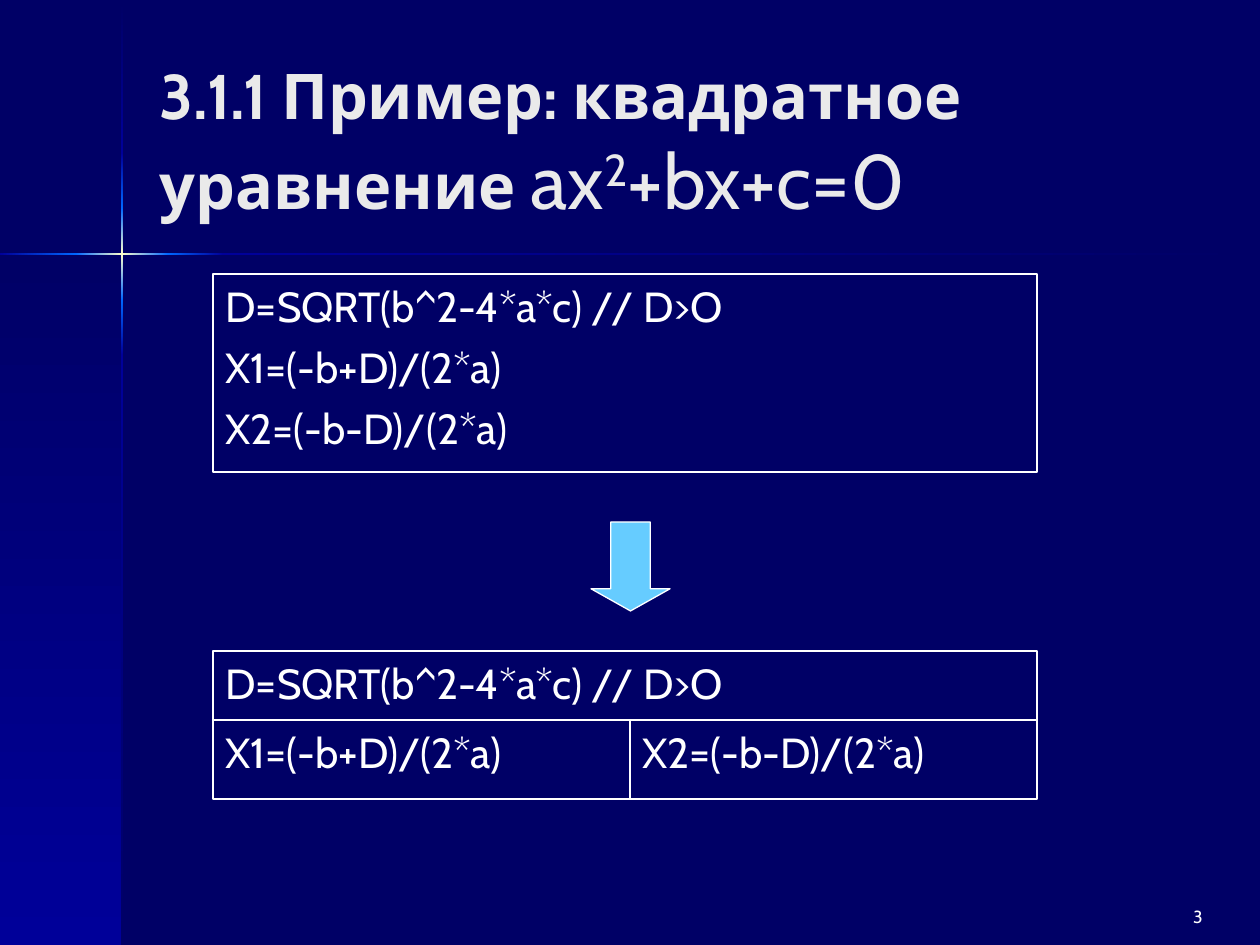
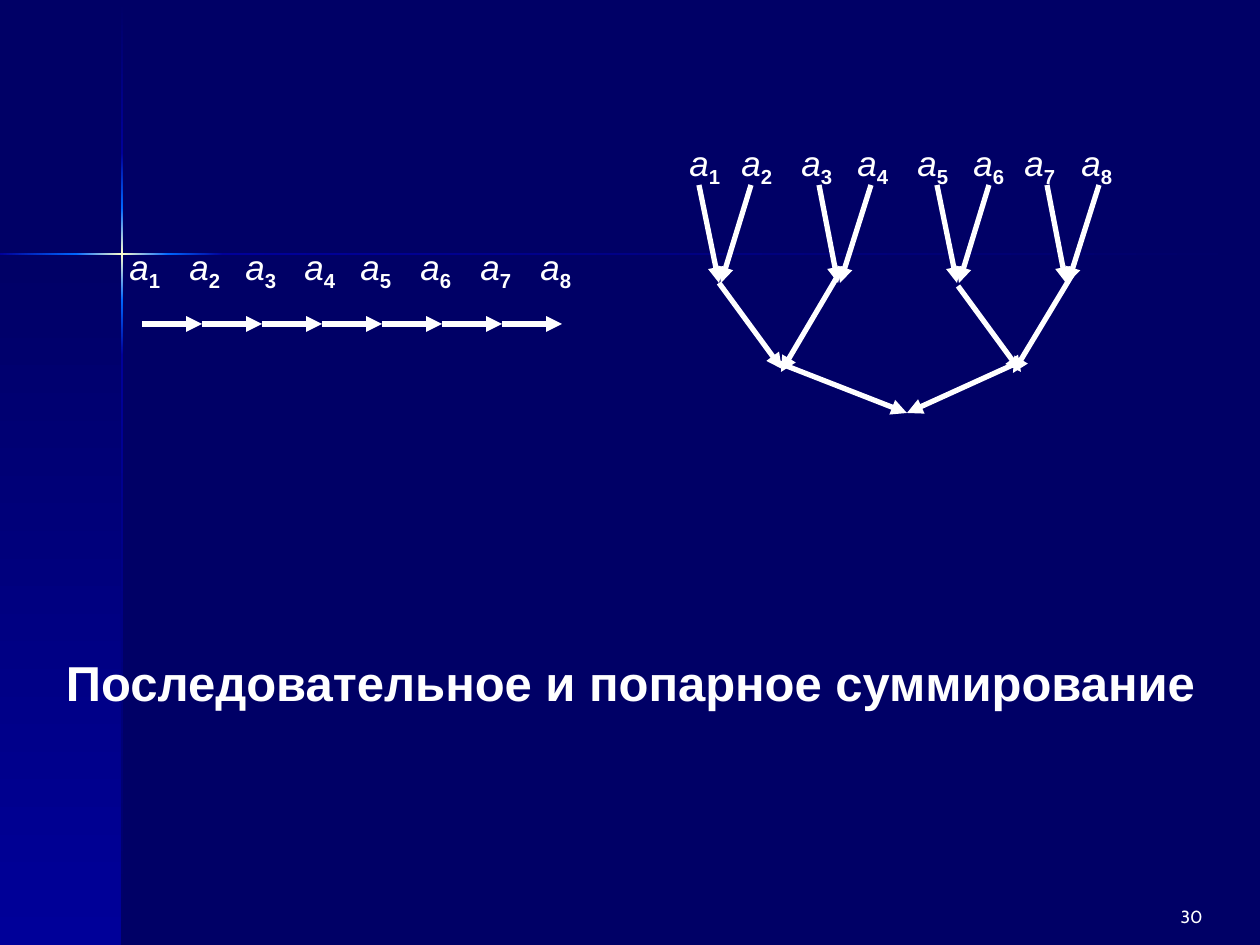
from itertools import pairwise

from pptx import Presentation
from pptx.dml.color import RGBColor
from pptx.enum.shapes import MSO_CONNECTOR as Connector, MSO_SHAPE as Preset
from pptx.enum.text import MSO_ANCHOR as Anchor, MSO_AUTO_SIZE as AutoSize, PP_ALIGN as Align
from pptx.oxml import parse_xml
from pptx.oxml.ns import nsdecls, qn
from pptx.util import Emu, Pt

COLORS = {
    "night": "000066",
    "royal": "000099",
    "azure": "0066FF",
    "cream": "FFFFCC",
    "sky": "66CCFF",
    "title": "EAEAEA",
    "white": "FFFFFF",
}
HEAD_FONT, PLAIN_FONT = "Cabin", "Arial"
TITLE_ONLY, BLANK = 5, 6
GLOW = [
    ("night", "royal"),
    ("royal", "azure"),
    ("azure", "cream", "azure"),
    ("azure", "royal"),
    ("royal", "night"),
]


def px(length):
    return Emu(round(length * 914400 / 126))


def place(box):
    return [px(length) for length in box]


def rgb(name):
    return RGBColor.from_string(COLORS[name])


def add_run(paragraph, text, size, font=HEAD_FONT, color="white", bold=False, italic=False, baseline=0):
    run = paragraph.add_run()
    run.text = text
    run.font.size = Pt(size)
    run.font.name = font
    run.font.bold = bold
    run.font.italic = italic
    run.font.color.rgb = rgb(color)
    if baseline:
        run._r.get_or_add_rPr().set("baseline", str(baseline * 1000))


def add_text(slide, box, wrap=True, align=Align.LEFT):
    frame = slide.shapes.add_textbox(*place(box)).text_frame
    frame.word_wrap = wrap
    frame.paragraphs[0].alignment = align
    return frame.paragraphs[0]


def add_band(slide, box, colors, angle):
    shape = slide.shapes.add_shape(Preset.RECTANGLE, *place(box))
    shape.shadow.inherit = False
    shape.line.fill.background()
    shape.fill.background()
    stops = "".join(
        f'<a:gs pos="{100000 * index // (len(colors) - 1)}"><a:srgbClr val="{COLORS[name]}"/></a:gs>'
        for index, name in enumerate(colors)
    )
    gradient = parse_xml(
        f'<a:gradFill {nsdecls("a")} rotWithShape="1"><a:gsLst>{stops}</a:gsLst>'
        f'<a:lin ang="{angle * 60000}" scaled="0"/></a:gradFill>'
    )
    properties = shape.element.spPr
    properties.replace(properties.find(qn("a:noFill")), gradient)
    return shape


def dress_master(master, slide):
    master.background.fill.solid()
    master.background.fill.fore_color.rgb = rgb("night")
    bands = [add_band(slide, (0, 255, 122, 690), ("night", "royal"), 90)]
    for (top, bottom), colors in zip(pairwise((1, 153, 208, 300, 355, 945)), GLOW):
        bands.append(add_band(slide, (121, top, 2, bottom - top), colors, 90))
    for (left, right), colors in zip(pairwise((0, 76, 168, 223, 1260)), GLOW[1:]):
        bands.append(add_band(slide, (left, 253, right - left, 2), colors, 0))
    tree = master.element.cSld.spTree
    for index, band in enumerate(bands):
        band.element.nvSpPr.cNvPr.set("id", str(100 + index))
        tree.insert(2 + index, band.element)


def add_page_number(slide, number):
    add_run(add_text(slide, (924, 900, 291, 30), align=Align.RIGHT), number, 10)


def set_title(slide, box):
    title = slide.shapes.title
    title.left, title.top, title.width, title.height = place(box)
    frame = title.text_frame
    frame.auto_size = AutoSize.NONE
    frame.word_wrap = True
    frame.vertical_anchor = Anchor.MIDDLE
    paragraph = frame.paragraphs[0]
    paragraph.alignment = Align.LEFT
    add_run(paragraph, "3.1.1 Пример: квадратное уравнение ", 36, color="title", bold=True)
    for text, baseline in (("ax", 0), ("2", 30), ("+bx+c=0", 0)):
        add_run(paragraph, text, 44, color="title", baseline=baseline)


def outline(shape):
    shape.shadow.inherit = False
    shape.line.color.rgb = rgb("white")
    shape.line.width = Pt(0.75)


def add_formula_box(slide, box, lines):
    shape = slide.shapes.add_shape(Preset.RECTANGLE, *place(box))
    outline(shape)
    shape.fill.background()
    frame = shape.text_frame
    frame.word_wrap = True
    frame.vertical_anchor = Anchor.TOP
    for index, line in enumerate(lines):
        paragraph = frame.add_paragraph() if index else frame.paragraphs[0]
        paragraph.alignment = Align.LEFT
        paragraph.space_before = Pt(6 if index else 0)
        add_run(paragraph, line, 24)


def add_down_arrow(slide, box):
    arrow = slide.shapes.add_shape(Preset.DOWN_ARROW, *place(box))
    outline(arrow)
    arrow.fill.solid()
    arrow.fill.fore_color.rgb = rgb("sky")
    arrow.adjustments[0], arrow.adjustments[1] = 0.5, 0.28


def add_parallel_blocks(slide, box, formulas):
    left, top, width, height = box
    head, split = 69, 417
    add_formula_box(slide, (left, top, width, head), formulas[:1])
    add_formula_box(slide, (left, top + head, split, height - head), formulas[1:2])
    add_formula_box(slide, (left + split, top + head, width - split, height - head), formulas[2:])


def add_arrow(slide, left, top, ends):
    x1, y1, x2, y2 = ends
    points = place((left + x1, top + y1, left + x2, top + y2))
    arrow = slide.shapes.add_connector(Connector.STRAIGHT, *points)
    arrow.line.color.rgb = rgb("white")
    arrow.line.width = Pt(3)
    properties = arrow.element.spPr
    properties.find(qn("a:ln")).append(parse_xml(f'<a:tailEnd {nsdecls("a")} type="triangle"/>'))
    properties.append(parse_xml(f'<a:effectLst {nsdecls("a")}/>'))


def add_terms(slide, box, offsets):
    paragraph = add_text(slide, box)
    tabs = "".join(f'<a:tab pos="{px(offset)}" algn="l"/>' for offset in offsets)
    paragraph._p.get_or_add_pPr().append(parse_xml(f'<a:tabLst {nsdecls("a")}>{tabs}</a:tabLst>'))
    last = len(offsets) + 1
    for number in range(1, last + 1):
        add_run(paragraph, "a", 20, PLAIN_FONT, italic=True)
        index = f"{number}\t" if number < last else f"{number}"
        add_run(paragraph, index, 20, PLAIN_FONT, bold=True, baseline=-25)


def add_sequential_sum(slide, box):
    left, top = box[:2]
    add_terms(slide, box, (60, 116, 175, 231, 291, 351, 411))
    step = 60
    for index in range(7):
        start = 25 + index * step
        add_arrow(slide, left, top, (start, 85, start + step, 85))


def add_pairwise_sum(slide, box):
    left, top = box[:2]
    add_terms(slide, box, (52, 112, 168, 228, 284, 335, 392))
    pairs = ((22, 74, 42), (142, 194, 161), (260, 312, 280), (370, 422, 389))
    for first, second, tip in pairs:
        add_arrow(slide, left, top, (first, 50, tip, 148))
        add_arrow(slide, left, top, (second, 50, tip + 2, 148))
    branches = (
        (42, 148, 105, 234),
        (163, 137, 104, 237),
        (281, 151, 344, 237),
        (395, 140, 336, 238),
        (102, 228, 230, 278),
        (340, 228, 230, 278),
    )
    for branch in branches:
        add_arrow(slide, left, top, branch)


def build_equation_slide(slide):
    formulas = ["D=SQRT(b^2-4*a*c) // D>O", "X1=(-b+D)/(2*a)", "X2=(-b-D)/(2*a)"]
    add_page_number(slide, "3")
    set_title(slide, (147, 42, 1068, 198))
    add_formula_box(slide, (213, 274, 824, 198), formulas)
    add_parallel_blocks(slide, (213, 651, 824, 148), formulas)
    add_down_arrow(slide, (591, 522, 79, 89))


def build_summation_slide(slide):
    add_page_number(slide, "30")
    add_sequential_sum(slide, (117, 239, 474, 60))
    add_pairwise_sum(slide, (677, 135, 457, 60))
    caption = add_text(slide, (52, 646, 1157, 72), wrap=False, align=Align.CENTER)
    add_run(caption, "Последовательное и попарное суммирование", 28, PLAIN_FONT, bold=True)


def main():
    presentation = Presentation()
    presentation.slide_width, presentation.slide_height = px(1260), px(945)
    layouts = presentation.slide_layouts
    equation = presentation.slides.add_slide(layouts[TITLE_ONLY])
    summation = presentation.slides.add_slide(layouts[BLANK])
    dress_master(presentation.slide_master, equation)
    build_equation_slide(equation)
    build_summation_slide(summation)
    presentation.save("out.pptx")


if __name__ == "__main__":
    main()
